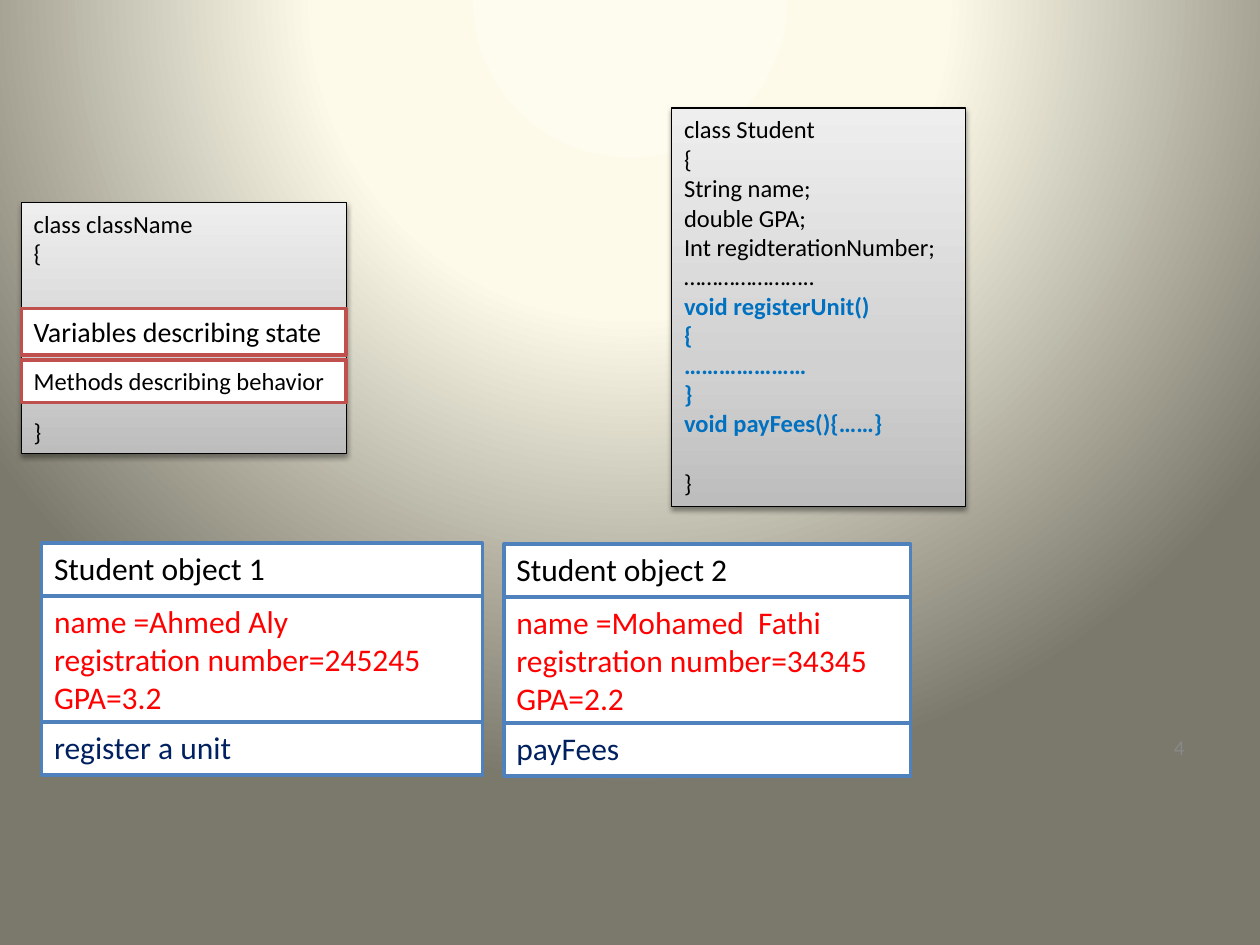
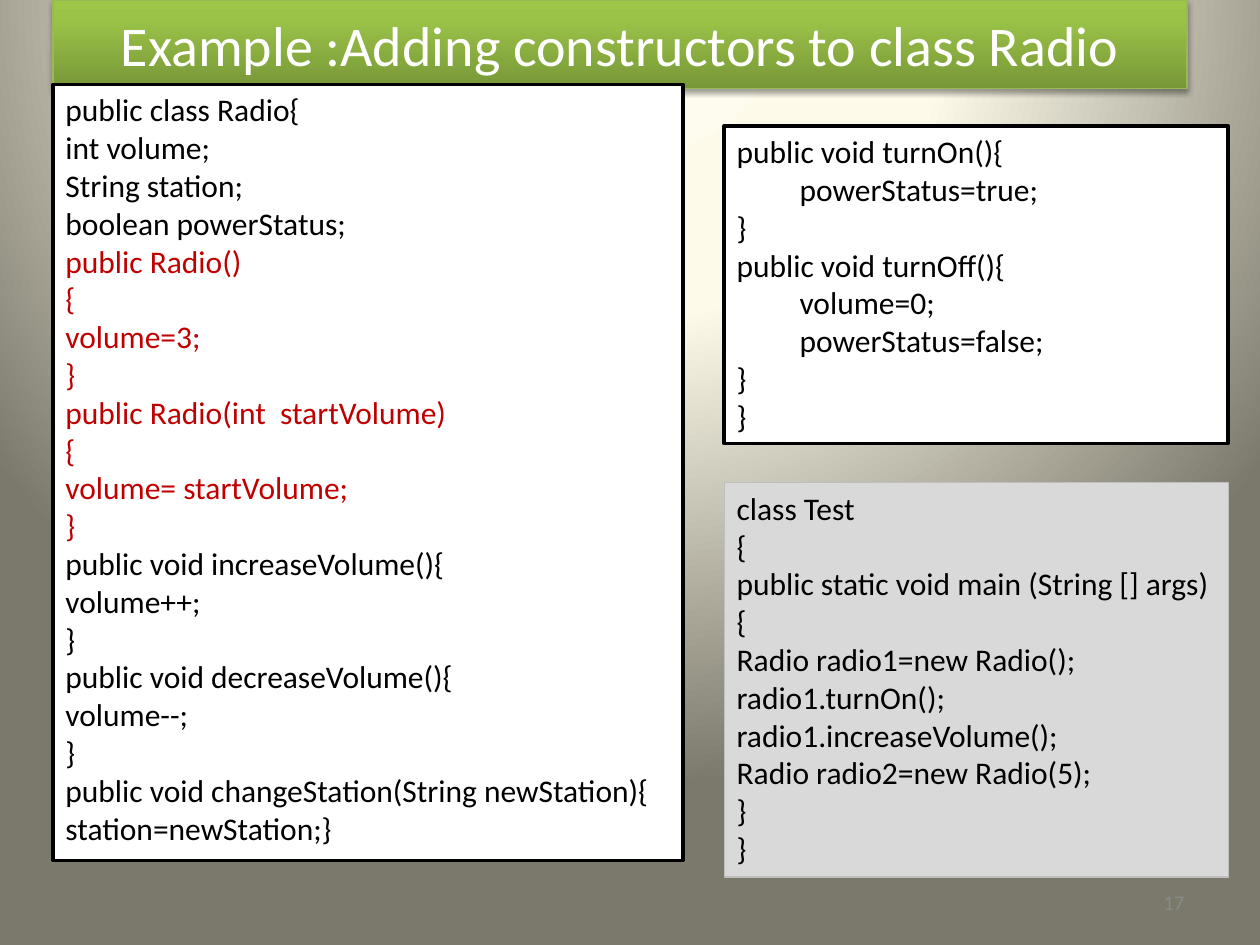
import pptx
import pptx.util
import pptx.dml.color
import pptx.enum.shapes
import pptx.enum.text
import pptx.oxml
import pptx.oxml.ns

Cm, Pt = pptx.util.Cm, pptx.util.Pt
RGB = pptx.dml.color.RGBColor
ALIGN = pptx.enum.text.PP_ALIGN
ANCHOR = pptx.enum.text.MSO_ANCHOR
RECT = pptx.enum.shapes.MSO_SHAPE.RECTANGLE
qn = pptx.oxml.ns.qn
SPACE = pptx.oxml.ns.nsdecls("a")

FONT = "Calibri"
BLACK = RGB(0x00, 0x00, 0x00)
WHITE = RGB(0xFF, 0xFF, 0xFF)
RED = RGB(0xFF, 0x00, 0x00)
DARK_RED = RGB(0xC0, 0x00, 0x00)
BRICK = RGB(0xC0, 0x50, 0x4D)
BLUE = RGB(0x00, 0x70, 0xC0)
STEEL = RGB(0x4F, 0x81, 0xBD)
NAVY = RGB(0x00, 0x20, 0x60)
LEAF = RGB(0x98, 0xB9, 0x55)
PALE = RGB(0xD9, 0xD9, 0xD9)
SILVER = RGB(0xBF, 0xBF, 0xBF)
GREY = RGB(0x89, 0x89, 0x89)
# Gradient stops: percent and colour
METAL = [(0, RGB(0xBD, 0xBD, 0xBD)), (35, RGB(0xD1, 0xD1, 0xD1)), (100, RGB(0xEE, 0xEE, 0xEE))]
GREEN = [(0, RGB(0x77, 0x97, 0x37)), (80, RGB(0x9B, 0xC3, 0x48)), (100, RGB(0x9D, 0xC7, 0x46))]
SAND = [(0, RGB(0xFE, 0xFC, 0xEE)), (40, RGB(0xFD, 0xFA, 0xEA)), (100, RGB(0x7B, 0x79, 0x6B))]
UPWARD = '<a:lin ang="16200000" scaled="0"/>'
GLOW = '<a:path path="circle"><a:fillToRect l="50000" t="-80000" r="50000" b="180000"/></a:path>'
SHADOW = (f'<a:outerShdw {SPACE} blurRad="40000" dist="20000" dir="5400000" rotWithShape="0">'
          '<a:srgbClr val="000000"><a:alpha val="38000"/></a:srgbClr></a:outerShdw>')
LINE = 17.1  # height of one 14 pt line, in points


def blend(part, fill, stops, course):
    """Give part a gradient with any number of stops."""
    fill.gradient()
    marks = "".join(f'<a:gs pos="{pos * 1000}"><a:srgbClr val="{tone}"/></a:gs>' for pos, tone in stops)
    old = next(part.iter(qn("a:gradFill")))
    new = pptx.oxml.parse_xml(
        f'<a:gradFill {SPACE} rotWithShape="1"><a:gsLst>{marks}</a:gsLst>{course}</a:gradFill>')
    old.getparent().replace(old, new)


def dress(shape, spot, texts, size, fill=None, edge=None, width=2.0,
          align=ALIGN.LEFT, anchor=ANCHOR.TOP):
    """Place and style a shape; texts holds (colour, lines) pairs, a list as fill is a gradient."""
    shape.left, shape.top, shape.width, shape.height = [Cm(n) for n in spot]
    shape.shadow.inherit = False
    if isinstance(fill, list):
        blend(shape.element, shape.fill, fill, UPWARD)
        shape.element.spPr.find(qn("a:effectLst")).append(pptx.oxml.parse_xml(SHADOW))
    elif fill is not None:
        shape.fill.solid()
        shape.fill.fore_color.rgb = fill
    if edge is not None:
        shape.line.color.rgb = edge
        shape.line.width = Pt(width)
    frame = shape.text_frame
    frame.word_wrap = True
    frame.auto_size = pptx.enum.text.MSO_AUTO_SIZE.NONE
    frame.vertical_anchor = anchor
    frame.text = "\n".join(text for tone, text in texts)
    tones = [tone for tone, text in texts for row in text.split("\n")]
    for para, tone in zip(frame.paragraphs, tones):
        para.alignment = align
        for run in para.runs:
            run.font.name = FONT
            run.font.size = Pt(size)
            run.font.color.rgb = tone
            run.font.bold = tone == BLUE
    return shape


deck = pptx.Presentation()
deck.slide_width, deck.slide_height = Cm(25.4), Cm(19.05)
master = deck.slide_master
blend(master.element, master.background.fill, SAND, GLOW)
first = deck.slides.add_slide(deck.slide_layouts[6])
second = deck.slides.add_slide(deck.slide_layouts[5])

# Slide 1: class outline, sample class and two objects
outline = dress(first.shapes.add_shape(RECT, 0, 0, 0, 0), (0.43, 4.09, 6.55, 5.05),
                [(BLACK, "class className\n{\n}")], 14, METAL, BLACK, 0.75)
outline.text_frame.paragraphs[-1].space_before = Pt(5 * LINE)

for top, high, size, text in [(6.22, 0.94, 16, "Variables describing state"),
                              (7.26, 0.86, 14, "Methods describing behavior")]:
    dress(first.shapes.add_shape(RECT, 0, 0, 0, 0), (0.43, top, 6.55, high),
          [(BLACK, text)], size, WHITE, BRICK)

student = dress(first.shapes.add_shape(RECT, 0, 0, 0, 0), (13.54, 2.18, 5.92, 8.03), [
    (BLACK, "class Student\n{\nString name;\ndouble GPA;\nInt regidterationNumber;\n…………………..")
    , (BLUE, "void registerUnit()\n{\n…………………\n}\nvoid payFees(){……}"),
    (BLACK, "}")], 14, METAL, BLACK, 0.75)
student.text_frame.paragraphs[-1].space_before = Pt(LINE)

objects = [
    (0.84, 10.95, 8.89, "Student object 1",
     "name =Ahmed Aly\nregistration number=245245\nGPA=3.2", "register a unit"),
    (10.16, 10.97, 8.2, "Student object 2",
     "name =Mohamed  Fathi\nregistration number=34345\nGPA=2.2", "payFees"),
]
for left, top, wide, head, state, action in objects:
    for tone, text, high in [(BLACK, head, 1.07), (RED, state, 2.54), (NAVY, action, 1.07)]:
        dress(first.shapes.add_shape(RECT, 0, 0, 0, 0), (left, top, wide, high),
              [(tone, text)], 18, WHITE, STEEL)
        top += high

# Slide 2: the Radio class and its test
dress(second.shapes.title, (1.07, 0, 22.86, 1.78),
      [(WHITE, "Example :Adding constructors to class Radio")], 32, GREEN, LEAF, 0.75,
      ALIGN.CENTER, ANCHOR.MIDDLE)

radio = [
    (BLACK, "public class Radio{\nint volume;\nString station;\nboolean powerStatus;"),
    (DARK_RED, "public Radio()\n{\nvolume=3;\n}\n"
               "public Radio(int  startVolume)\n{\nvolume= startVolume;\n}"),
    (BLACK, "public void increaseVolume(){\nvolume++;\n}\n"
            "public void decreaseVolume(){\nvolume--;\n}\n"
            "public void changeStation(String newStation){\nstation=newStation;}"),
]
power = [(BLACK, "public void turnOn(){\n\tpowerStatus=true;\n}\n"
                 "public void turnOff(){\n\tvolume=0;\n\tpowerStatus=false;\n}\n}")]
test = [(BLACK, "class Test\n{\npublic static void main (String [] args)\n{\n"
                "Radio radio1=new Radio();\nradio1.turnOn();\nradio1.increaseVolume();\n"
                "Radio radio2=new Radio(5);\n}\n}")]
for spot, code, fill, edge, width in [
        ((1.07, 1.7, 12.7, 15.65), radio, WHITE, BLACK, 2),
        ((14.6, 2.54, 10.16, 6.4), power, WHITE, BLACK, 2),
        ((14.6, 9.73, 10.16, 7.95), test, PALE, SILVER, 0.75)]:
    dress(second.shapes.add_shape(RECT, 0, 0, 0, 0), spot, code, 18, fill, edge, width)

# Page numbers
for slide, top, number in [(first, 14.55, "4"), (second, 17.68, "17")]:
    dress(slide.shapes.add_textbox(0, 0, 0, 0), (18.2, top, 5.93, 1.01), [(GREY, number)], 12,
          align=ALIGN.RIGHT, anchor=ANCHOR.MIDDLE)

deck.save("out.pptx")
